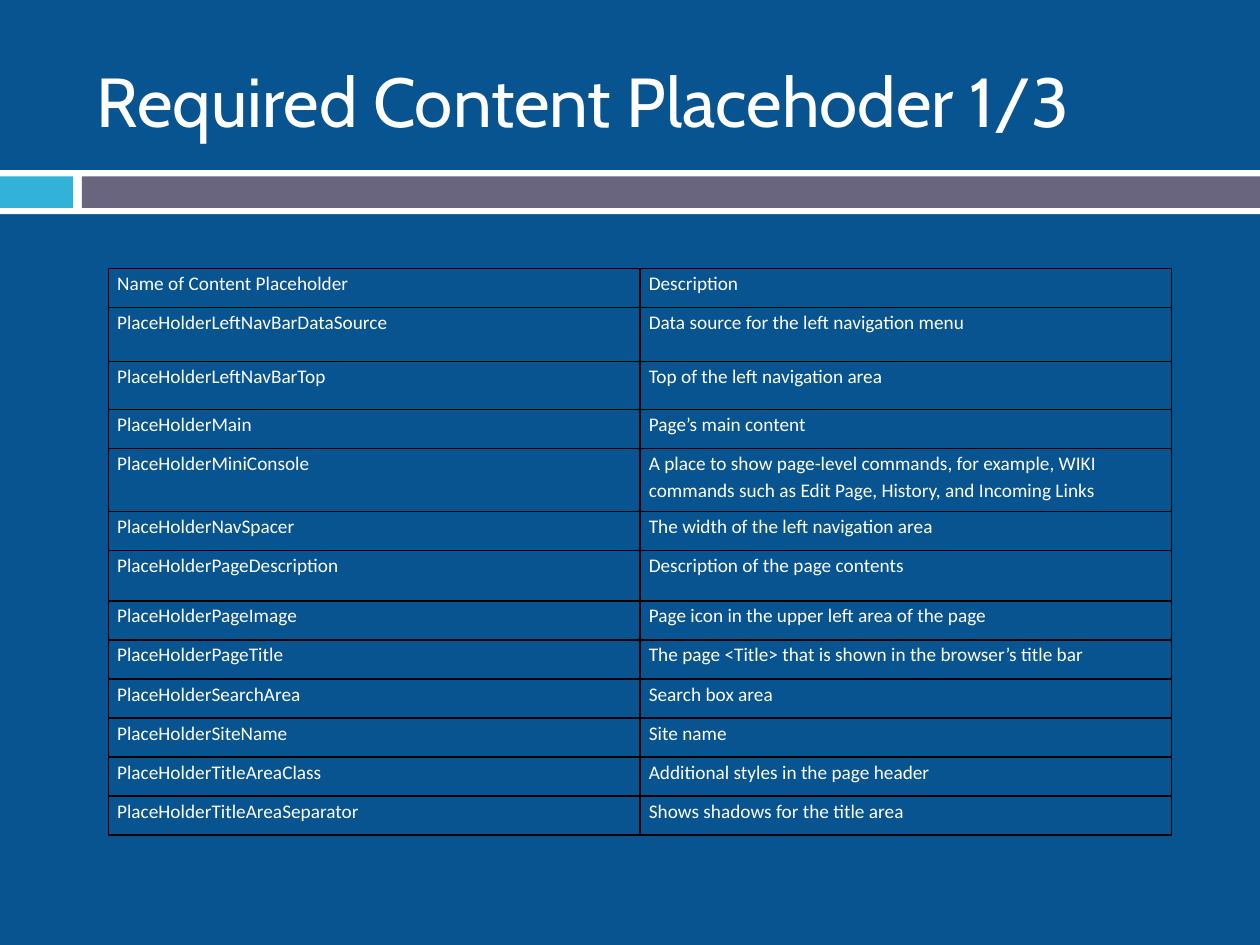
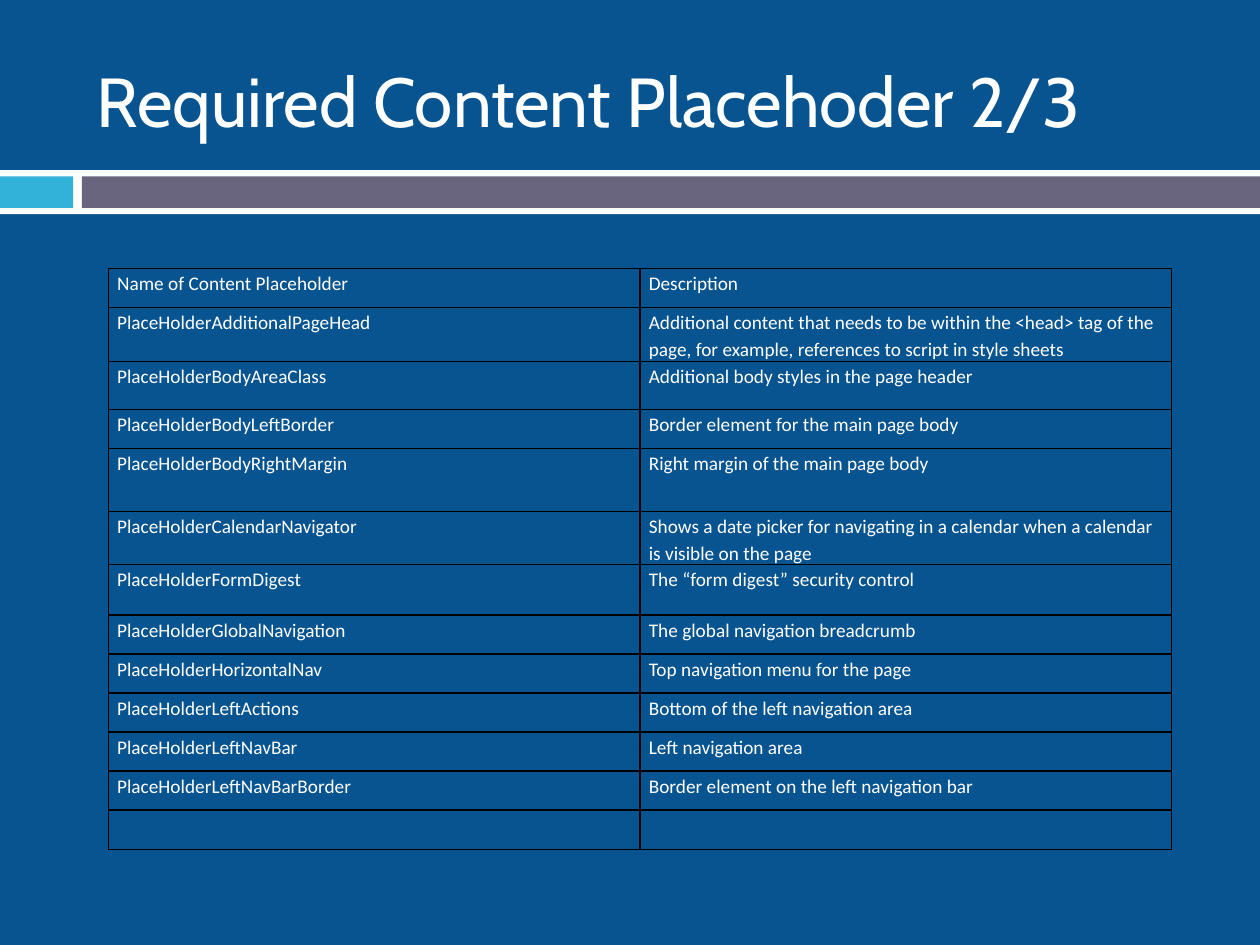
"""Builds two slides that list the required content placeholders."""
import lxml.etree
import pptx
import pptx.dml.color
import pptx.enum.shapes
import pptx.enum.text
import pptx.oxml.ns
import pptx.util

Inches = pptx.util.Inches
Pt = pptx.util.Pt

COLORS = {
    "background": "085490",
    "text": "FFFFFF",
    "band": "FFFFFF",
    "accent": "32B2D9",
    "bar": "69657E",
    "border": "000000",
}

BANDS = [
    (0, 1.35, 10, 0.35, "band"),
    (0, 1.4, 0.58, 0.25, "accent"),
    (0.65, 1.4, 9.35, 0.25, "bar"),
]

HEADINGS = ("Name of Content Placeholder", "Description")
COLUMN_WIDTH = 4.22
ROW_HEIGHT = 0.31
TALL_ROWS = {1: 0.43, 2: 0.38, 4: 0.5, 6: 0.4}

PAGES = [
    ("Required Content Placehoder 1/3", [
        ("PlaceHolderLeftNavBarDataSource", "Data source for the left navigation menu"),
        ("PlaceHolderLeftNavBarTop", "Top of the left navigation area"),
        ("PlaceHolderMain", "Page’s main content"),
        ("PlaceHolderMiniConsole",
         "A place to show page-level commands, for example, WIKI commands "
         "such as Edit Page, History, and Incoming Links"),
        ("PlaceHolderNavSpacer", "The width of the left navigation area"),
        ("PlaceHolderPageDescription", "Description of the page contents"),
        ("PlaceHolderPageImage", "Page icon in the upper left area of the page"),
        ("PlaceHolderPageTitle", "The page <Title> that is shown in the browser’s title bar"),
        ("PlaceHolderSearchArea", "Search box area"),
        ("PlaceHolderSiteName", "Site name"),
        ("PlaceHolderTitleAreaClass", "Additional styles in the page header"),
        ("PlaceHolderTitleAreaSeparator", "Shows shadows for the title area"),
    ]),
    ("Required Content Placehoder 2/3", [
        ("PlaceHolderAdditionalPageHead",
         "Additional content that needs to be within the <head> tag of the page, "
         "for example, references to script in style sheets"),
        ("PlaceHolderBodyAreaClass", "Additional body styles in the page header"),
        ("PlaceHolderBodyLeftBorder", "Border element for the main page body"),
        ("PlaceHolderBodyRightMargin", "Right margin of the main page body"),
        ("PlaceHolderCalendarNavigator",
         "Shows a date picker for navigating in a calendar when a calendar "
         "is visible on the page"),
        ("PlaceHolderFormDigest", "The “form digest” security control"),
        ("PlaceHolderGlobalNavigation", "The global navigation breadcrumb"),
        ("PlaceHolderHorizontalNav", "Top navigation menu for the page"),
        ("PlaceHolderLeftActions", "Bottom of the left navigation area"),
        ("PlaceHolderLeftNavBar", "Left navigation area"),
        ("PlaceHolderLeftNavBarBorder", "Border element on the left navigation bar"),
        ("", ""),
    ]),
]


def format_runs(paragraph, font_name, size):
    for run in paragraph.runs:
        run.font.name = font_name
        run.font.size = Pt(size)
        run.font.bold = False
        run.font.color.rgb = pptx.dml.color.RGBColor.from_string(COLORS["text"])


def add_borders(cell):
    qn = pptx.oxml.ns.qn
    properties = cell._tc.get_or_add_tcPr()
    for position, side in enumerate(("a:lnL", "a:lnR", "a:lnT", "a:lnB")):
        border = lxml.etree.Element(qn(side), w=str(Pt(1)))
        fill = lxml.etree.SubElement(border, qn("a:solidFill"))
        lxml.etree.SubElement(fill, qn("a:srgbClr"), val=COLORS["border"])
        properties.insert(position, border)


deck = pptx.Presentation()
deck.slide_width = Inches(10)
deck.slide_height = Inches(7.5)
backdrop = deck.slide_master.background.fill
backdrop.solid()
backdrop.fore_color.rgb = pptx.dml.color.RGBColor.from_string(COLORS["background"])

for heading, entries in PAGES:
    slide = deck.slides.add_slide(deck.slide_layouts[6])

    for left, top, width, height, color in BANDS:
        band = slide.shapes.add_shape(
            pptx.enum.shapes.MSO_SHAPE.RECTANGLE,
            Inches(left), Inches(top), Inches(width), Inches(height))
        band.shadow.inherit = False
        band.fill.solid()
        band.fill.fore_color.rgb = pptx.dml.color.RGBColor.from_string(COLORS[color])
        band.line.fill.background()

    title = slide.shapes.add_textbox(Inches(0.67), Inches(0.25), Inches(8.92), Inches(1.08))
    title.text_frame.word_wrap = True
    title.text_frame.vertical_anchor = pptx.enum.text.MSO_ANCHOR.MIDDLE
    title.text_frame.text = heading
    format_runs(title.text_frame.paragraphs[0], "Cabin", 39.6)

    rows = [HEADINGS, *entries]
    heights = [TALL_ROWS.get(index, ROW_HEIGHT) for index in range(len(rows))]
    placeholders = slide.shapes.add_table(
        len(rows), len(HEADINGS), Inches(0.86), Inches(2.13),
        Inches(COLUMN_WIDTH * len(HEADINGS)), Inches(sum(heights))).table
    placeholders.first_row = False
    placeholders.horz_banding = False
    for column in placeholders.columns:
        column.width = Inches(COLUMN_WIDTH)

    for row_index, (texts, height) in enumerate(zip(rows, heights)):
        placeholders.rows[row_index].height = Inches(height)
        for column_index, text in enumerate(texts):
            cell = placeholders.cell(row_index, column_index)
            cell.margin_left = cell.margin_right = Inches(0.07)
            cell.margin_top = cell.margin_bottom = 0
            cell.fill.background()
            add_borders(cell)
            if text:
                cell.text_frame.text = text
                paragraph = cell.text_frame.paragraphs[0]
                paragraph.line_spacing = 1.15
                format_runs(paragraph, "Calibri", 11)

deck.save("out.pptx")
